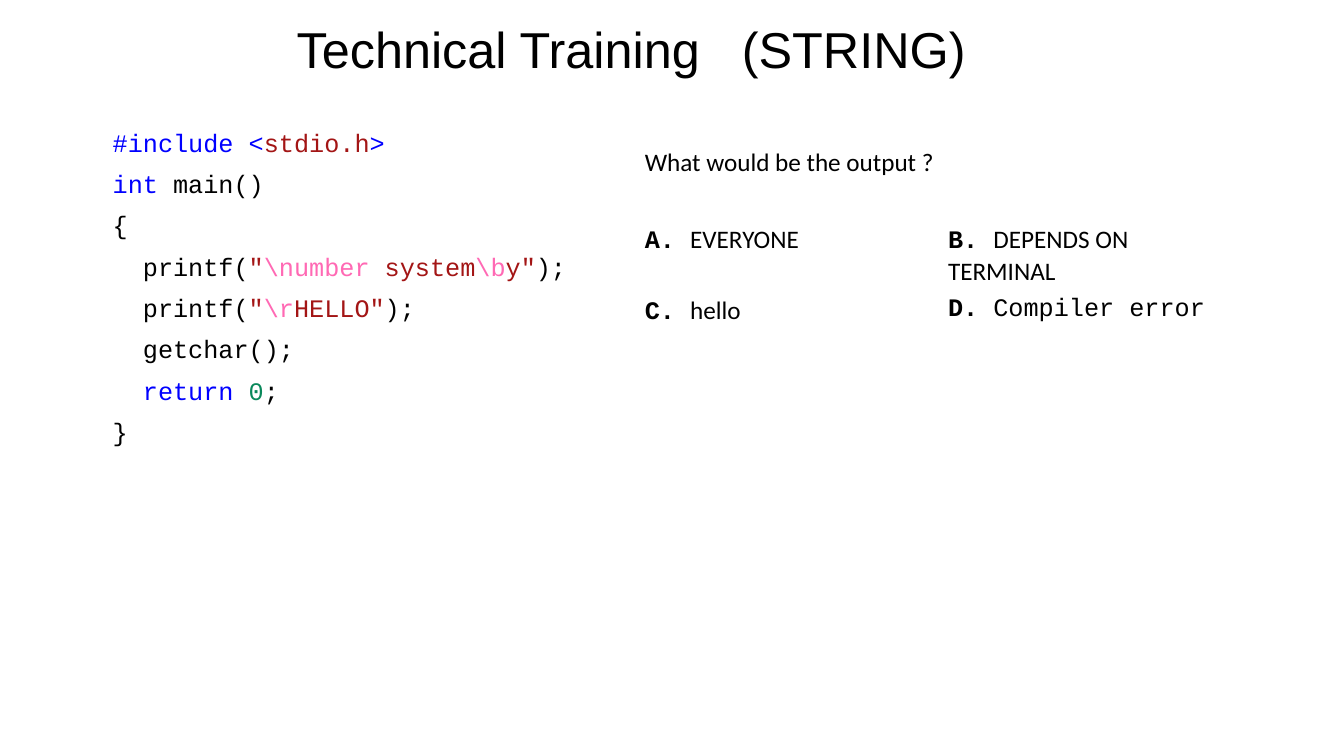
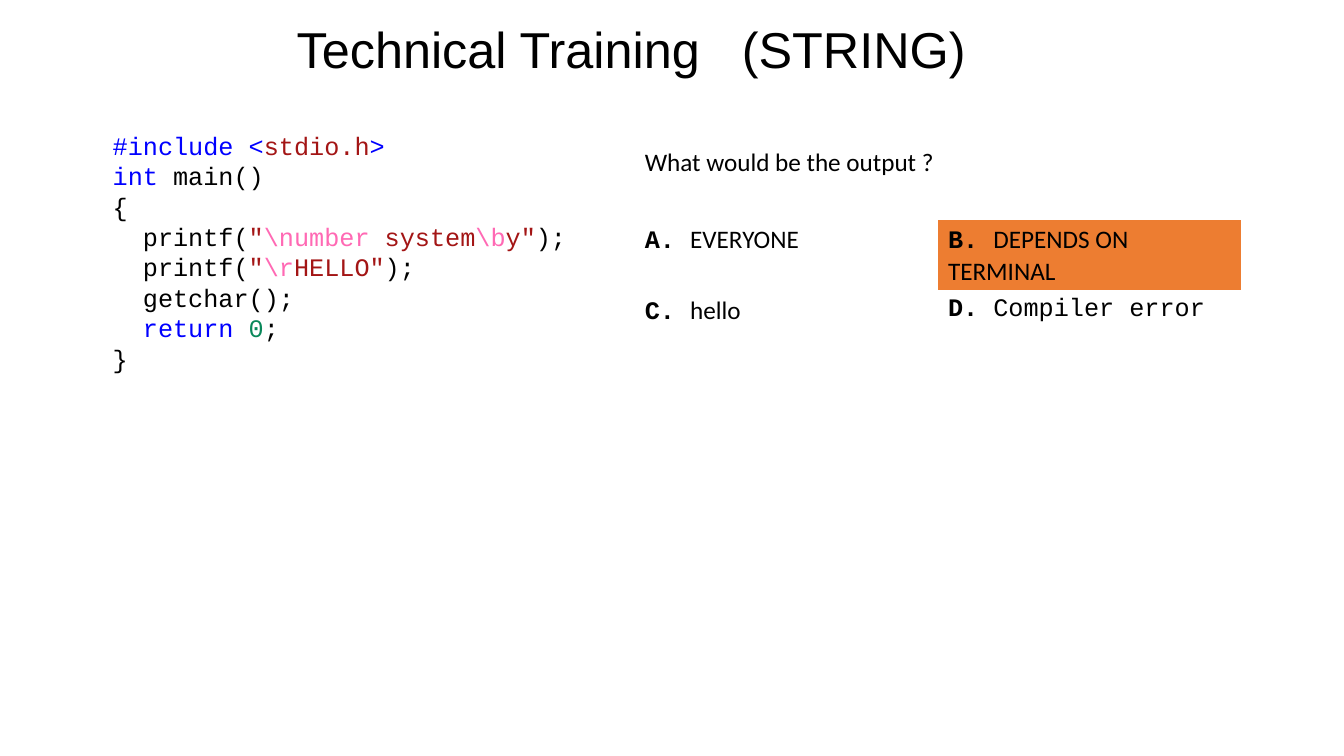
from dataclasses import dataclass
from typing import NamedTuple, Optional

from pptx import Presentation
from pptx.dml.color import RGBColor
from pptx.enum.text import MSO_ANCHOR, MSO_AUTO_SIZE, PP_ALIGN
from pptx.oxml.ns import qn
from pptx.slide import Slide
from pptx.util import Inches, Pt

TOP = MSO_ANCHOR.TOP
NO_AUTOFIT = MSO_AUTO_SIZE.NONE
CENTER = PP_ALIGN.CENTER
TITLE_ONLY = 5
PLAIN_TABLE_STYLE = "{2D5ABB26-0587-4C30-8999-92F81FD0307C}"


@dataclass(frozen=True)
class Theme:
    black: RGBColor = RGBColor(0x00, 0x00, 0x00)
    white: RGBColor = RGBColor(0xFF, 0xFF, 0xFF)
    keyword: RGBColor = RGBColor(0x00, 0x00, 0xFF)
    string: RGBColor = RGBColor(0xA3, 0x15, 0x15)
    escape: RGBColor = RGBColor(0xFF, 0x69, 0xB4)
    number: RGBColor = RGBColor(0x09, 0x88, 0x5A)
    answer: RGBColor = RGBColor(0xED, 0x7D, 0x31)
    title_font: str = "Arial"
    body_font: str = "Calibri"
    code_font: str = "Courier New"
    title_size: Pt = Pt(36)
    body_size: Pt = Pt(18)


THEME = Theme()


class Token(NamedTuple):
    text: str
    color: RGBColor = THEME.black


class Option(NamedTuple):
    label: str
    text: str
    font: str = THEME.body_font


class QuizSlide(NamedTuple):
    code_height: float
    line_height: Pt
    space_before: Pt
    answer: Optional[str] = None


CODE = [
    [Token("#include <", THEME.keyword), Token("stdio.h", THEME.string),
     Token(">", THEME.keyword)],
    [Token("int", THEME.keyword), Token(" main()")],
    [Token("{")],
    [Token("  printf("), Token('"', THEME.string),
     Token(r"\number", THEME.escape), Token(" system", THEME.string),
     Token(r"\b", THEME.escape), Token('y"', THEME.string), Token(");")],
    [Token("  printf("), Token('"', THEME.string),
     Token(r"\r", THEME.escape), Token('HELLO"', THEME.string), Token(");")],
    [Token("  getchar();")],
    [Token("  return ", THEME.keyword), Token("0", THEME.number), Token(";")],
    [Token("}")],
]
QUESTION = "What would be the output ?"
OPTIONS = [
    Option("A.", "EVERYONE"),
    Option("B.", "DEPENDS ON TERMINAL"),
    Option("C.", "hello"),
    Option("D.", "Compiler error", THEME.code_font),
]
COLUMN_WIDTH = 3.01
ROW_HEIGHTS = [0.77, 0.7, 0.43]
QUIZ_SLIDES = [
    QuizSlide(5.3, Pt(19.5), Pt(10)),
    QuizSlide(4, Pt(21.7), Pt(0), answer="B."),
]


def format_paragraph(paragraph, font: str, size: Pt) -> None:
    paragraph.font.name = font
    paragraph.font.size = size
    paragraph.font.color.rgb = THEME.black


def add_title(slide: Slide) -> None:
    """Set the title, with its wide gap made by letter spacing on one space."""
    title = slide.shapes.title
    title.left, title.top = Inches(2.29), Inches(0.13)
    title.width, title.height = Inches(7.95), Inches(0.7)
    frame = title.text_frame
    frame.auto_size = NO_AUTOFIT
    frame.vertical_anchor = TOP
    paragraph = frame.paragraphs[0]
    paragraph.alignment = CENTER
    format_paragraph(paragraph, THEME.title_font, THEME.title_size)
    _, gap, _ = [paragraph.add_run() for _ in range(3)]
    for run, text in zip(paragraph.runs, ("Technical Training", " ", "(STRING)")):
        run.text = text
    gap.font._element.set("spc", "2000")


def add_code(slide: Slide, quiz: QuizSlide) -> None:
    box = slide.shapes.add_textbox(
        Inches(1.02), Inches(1.24), Inches(5.41), Inches(quiz.code_height))
    frame = box.text_frame
    frame.word_wrap = True
    for index, tokens in enumerate(CODE):
        paragraph = frame.add_paragraph() if index else frame.paragraphs[0]
        paragraph.line_spacing = quiz.line_height
        if index:
            paragraph.space_before = quiz.space_before
        format_paragraph(paragraph, THEME.code_font, THEME.body_size)
        for token in tokens:
            run = paragraph.add_run()
            run.text = token.text
            run.font.color.rgb = token.color


def fill_option(cell, option: Option) -> None:
    paragraph = cell.text_frame.paragraphs[0]
    format_paragraph(paragraph, option.font, THEME.body_size)
    label = paragraph.add_run()
    label.text = option.label + " "
    label.font.name = THEME.code_font
    label.font.bold = True
    paragraph.add_run().text = option.text


def add_question(slide: Slide, answer: Optional[str]) -> None:
    """Add the question with its options, and shade the answer if there is one."""
    table = slide.shapes.add_table(
        len(ROW_HEIGHTS), 2, Inches(6.3), Inches(1.41),
        Inches(2 * COLUMN_WIDTH), Inches(sum(ROW_HEIGHTS))).table
    table._tbl.tblPr.find(qn("a:tableStyleId")).text = PLAIN_TABLE_STYLE
    table.first_row = table.horz_banding = False
    for column in table.columns:
        column.width = Inches(COLUMN_WIDTH)
    for row, height in zip(table.rows, ROW_HEIGHTS):
        row.height = Inches(height)

    heading = table.cell(0, 0)
    heading.merge(table.cell(0, 1))
    heading.fill.background()
    heading.text = QUESTION
    format_paragraph(heading.text_frame.paragraphs[0], THEME.body_font, THEME.body_size)

    for index, option in enumerate(OPTIONS):
        cell = table.cell(1 + index // 2, index % 2)
        fill_option(cell, option)
        if option.label == answer:
            cell.fill.solid()
            cell.fill.fore_color.rgb = THEME.answer
        elif index == 0:
            cell.fill.solid()
            cell.fill.fore_color.rgb = THEME.white
        else:
            cell.fill.background()


def main() -> None:
    presentation = Presentation()
    presentation.slide_width = Inches(13.34)
    presentation.slide_height = Inches(7.5)
    layout = presentation.slide_layouts[TITLE_ONLY]
    for quiz in QUIZ_SLIDES:
        slide = presentation.slides.add_slide(layout)
        add_title(slide)
        add_code(slide, quiz)
        add_question(slide, quiz.answer)
    presentation.save("out.pptx")


if __name__ == "__main__":
    main()
